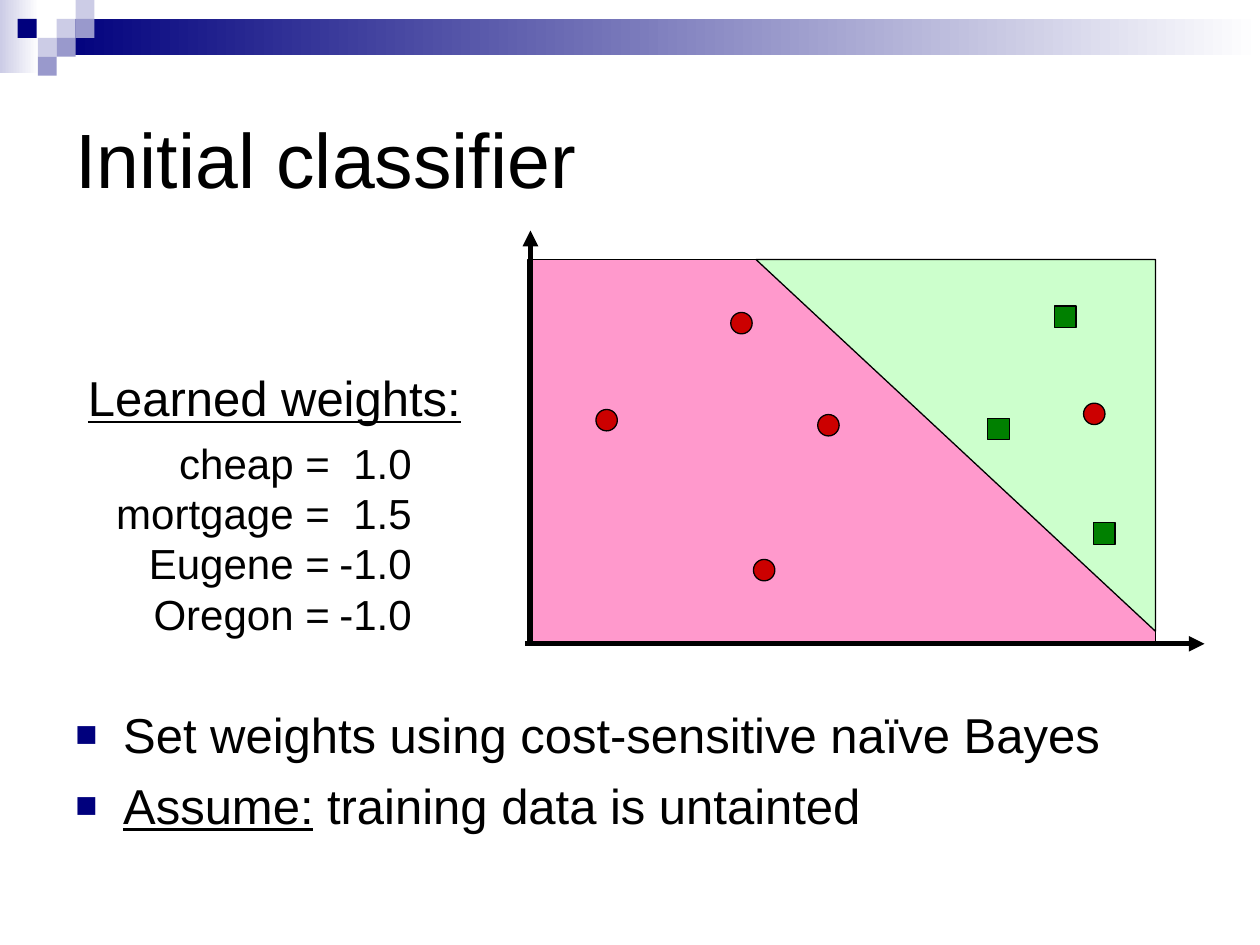
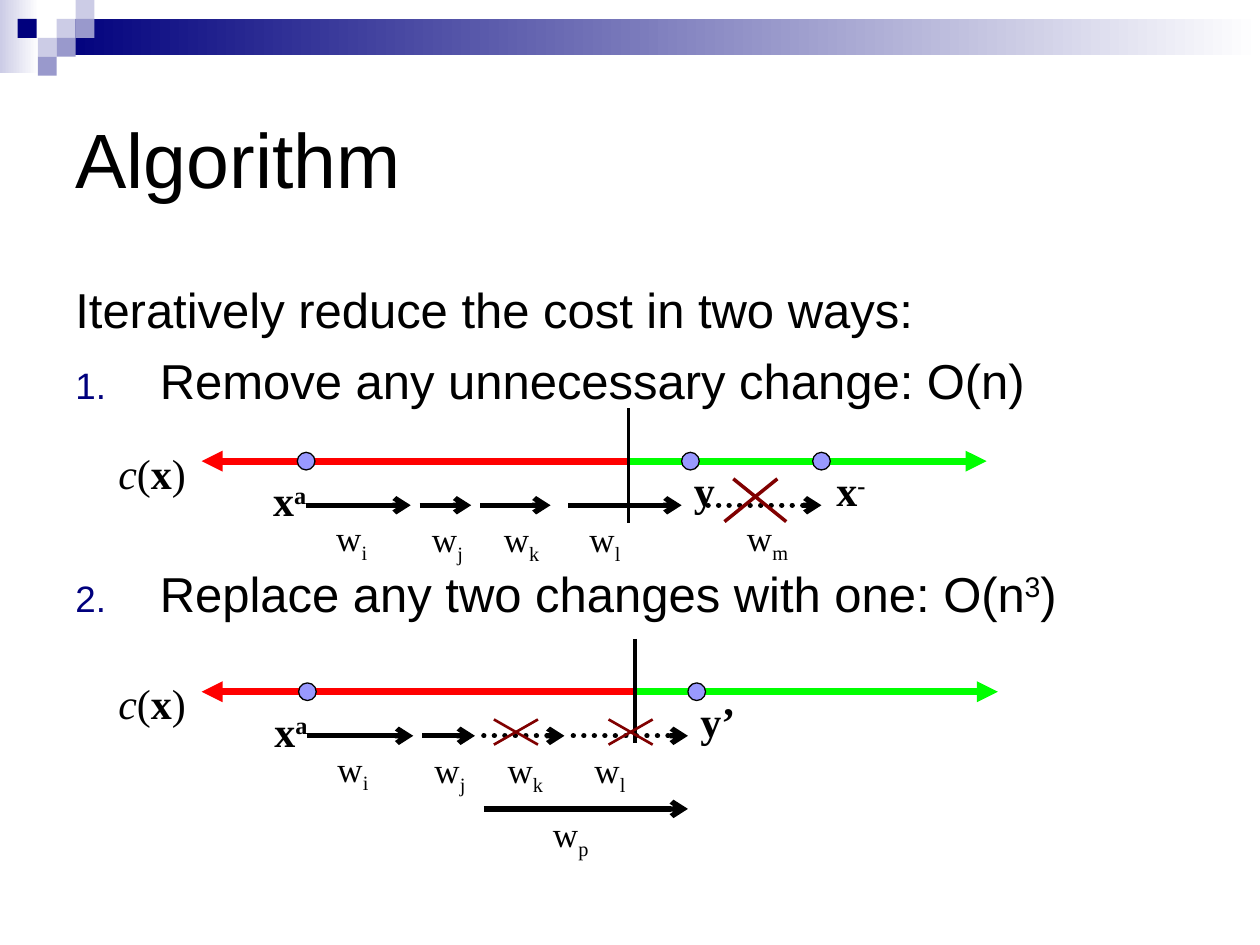
from lxml import etree
from pptx import Presentation
from pptx.dml.color import RGBColor
from pptx.enum.dml import MSO_LINE
from pptx.enum.shapes import MSO_CONNECTOR, MSO_SHAPE
from pptx.enum.text import MSO_ANCHOR, MSO_AUTO_SIZE, PP_ALIGN
from pptx.oxml.ns import qn
from pptx.util import Inches, Pt

RECT, OVAL = MSO_SHAPE.RECTANGLE, MSO_SHAPE.OVAL
TRIANGLE = MSO_SHAPE.RIGHT_TRIANGLE
STRAIGHT = MSO_CONNECTOR.STRAIGHT
DOTTED = MSO_LINE.ROUND_DOT
LEFT, MIDDLE = PP_ALIGN.LEFT, MSO_ANCHOR.MIDDLE
GROW, FIXED = MSO_AUTO_SIZE.SHAPE_TO_FIT_TEXT, MSO_AUTO_SIZE.NONE

BLACK = RGBColor(0x00, 0x00, 0x00)
WHITE = RGBColor(0xFF, 0xFF, 0xFF)
NAVY = RGBColor(0x00, 0x00, 0x7D)
LAVENDER = RGBColor(0xCC, 0xCC, 0xE6)
PERIWINKLE = RGBColor(0x99, 0x99, 0xCC)
POINT_BLUE = RGBColor(0x99, 0x99, 0xFF)
PINK = RGBColor(0xFF, 0x99, 0xCC)
MINT = RGBColor(0xCC, 0xFF, 0xCC)
DARK_RED = RGBColor(0xCC, 0x00, 0x00)
DARK_GREEN = RGBColor(0x00, 0x80, 0x00)
RED = RGBColor(0xFF, 0x00, 0x00)
GREEN = RGBColor(0x00, 0xFF, 0x00)
MAROON = RGBColor(0x80, 0x00, 0x00)

SANS, SERIF = "Arial", "Times New Roman"
BASELINES = {"^": "30000", "_": "-25000"}
SQUARE = ("a:buChar", {"char": "■"})
NUMBER = ("a:buAutoNum", {"type": "arabicPeriod"})


def add_xml(parent, tag, **attrs):
    return etree.SubElement(parent, qn(tag), attrs)


class Deck:
    def __init__(self):
        self.prs = Presentation()
        self.prs.slide_width, self.prs.slide_height = Inches(10), Inches(7.5)
        self.s = None

    def slide(self, title):
        self.s = self.prs.slides.add_slide(self.prs.slide_layouts[5])
        self.band()
        sp = self.s.shapes.title
        sp.left, sp.top, sp.width, sp.height = map(Inches, (0.5, 0.5, 9, 1.5))
        tf = sp.text_frame
        tf.text = title
        tf.auto_size, tf.vertical_anchor = FIXED, MIDDLE
        p = tf.paragraphs[0]
        p.alignment = LEFT
        self.style(p.runs[0], 44, SANS)

    def band(self):
        self.shape(RECT, 0, 0, 0.31, 0.58, (LAVENDER, WHITE), outline=False)
        self.shape(RECT, 0.45, 0.15, 9.55, 0.29, (NAVY, WHITE), outline=False)
        for x, y, color in ((0.45, 0.15, LAVENDER), (0.6, 0, LAVENDER),
                            (0.6, 0.15, PERIWINKLE), (0.3, 0.3, LAVENDER),
                            (0.14, 0.15, NAVY), (0.45, 0.3, PERIWINKLE),
                            (0.3, 0.45, PERIWINKLE)):
            self.shape(RECT, x, y, 0.15, 0.15, color, outline=False)

    def shape(self, kind, x, y, w, h, fill, outline=True):
        """A pair of colours as fill makes a left-to-right gradient."""
        sp = self.s.shapes.add_shape(kind, *map(Inches, (x, y, w, h)))
        sp.shadow.inherit = False
        if isinstance(fill, RGBColor):
            sp.fill.solid()
            sp.fill.fore_color.rgb = fill
        else:
            sp.fill.gradient()
            sp.fill.gradient_angle = 0
            for stop, color in zip(sp.fill.gradient_stops, fill):
                stop.color.rgb = color
        if outline:
            sp.line.color.rgb = BLACK
            sp.line.width = Pt(0.75)
        else:
            sp.line.fill.background()
        return sp

    def line(self, x1, y1, x2, y2, color=BLACK, width=3, end=None, dotted=False):
        sp = self.s.shapes.add_connector(STRAIGHT, *map(Inches, (x1, y1, x2, y2)))
        sp.line.color.rgb = color
        sp.line.width = Pt(width)
        ln = sp.line._get_or_add_ln()
        if dotted:
            sp.line.dash_style = DOTTED
            ln.set("cap", "rnd")
        if end:
            add_xml(ln, "a:tailEnd", type=end)
        add_xml(sp._element.spPr, "a:effectLst")

    def cross(self, x, y, w, h, width, shift=0):
        """Two strokes; shift moves the falling one sideways."""
        self.line(x, y + h, x + w, y, MAROON, width)
        self.line(x + shift, y, x + shift + w, y + h, MAROON, width)

    def style(self, r, size, font, marks=""):
        r.font.size, r.font.name = Pt(size), font
        r.font.color.rgb = BLACK
        if "b" in marks:
            r.font.bold = True
        if "i" in marks:
            r.font.italic = True
        if "u" in marks:
            r.font.underline = True
        for mark, value in BASELINES.items():
            if mark in marks:
                r._r.get_or_add_rPr().set("baseline", value)

    def text(self, x, y, w, h, paragraphs, size, font=SANS, wrap=False):
        """Each paragraph is a list of (text, marks) runs."""
        sp = self.s.shapes.add_textbox(*map(Inches, (x, y, w, h)))
        tf = sp.text_frame
        tf.word_wrap = wrap
        tf.auto_size = FIXED if wrap else GROW
        for i, runs in enumerate(paragraphs):
            p = tf.add_paragraph() if i else tf.paragraphs[0]
            if len(paragraphs) > 1:
                p.line_spacing = Pt(size * 1.2)
            for words, marks in runs:
                r = p.add_run()
                r.text = words
                self.style(r, size, font, marks)
        return tf.paragraphs

    def label(self, x, y, w, runs, size=24):
        self.text(x, y, w, 0.5 if size == 24 else 0.48, [runs], size, SERIF)

    def bullet(self, p, kind, indent):
        pPr = p._p.get_or_add_pPr()
        pPr.set("marL", str(Inches(indent)))
        pPr.set("indent", str(-Inches(indent)))
        add_xml(add_xml(pPr, "a:buClr"), "a:srgbClr", val=str(NAVY))
        add_xml(pPr, "a:buSzPct", val="75000")
        add_xml(pPr, "a:buFont", typeface=SANS)
        tag, attrs = kind
        add_xml(pPr, tag, **attrs)

    def right_tabs(self, p, *stops):
        tabs = add_xml(p._p.get_or_add_pPr(), "a:tabLst")
        for stop in stops:
            add_xml(tabs, "a:tab", pos=str(Inches(stop)), algn="r")


def cost_line(deck, y, stretch, tick_end, y_name, y_width, k_end, dotted):
    """Cost axis with its boundary, end points and weight arrows.

    Returns the function that places x on the stretched axis."""
    start = 1.6

    def at(x):
        return round(start + (x - start) * stretch, 2)

    deck.line(at(4.99), y, at(7.83), y, GREEN, 4, "triangle")
    deck.line(at(4.99), y, start, y, RED, 4, "triangle")
    deck.line(at(4.99), y - 0.42, at(4.99), y + tick_end, width=2)
    deck.label(0.84, y - 0.16, 0.85,
               [("c", "i"), ("(", ""), ("x", "b"), (")", "")])
    deck.label(at(2.07), y + 0.06, 0.5, [("x", "b"), ("a", "b^")])
    deck.label(at(5.41), y - 0.02, y_width, [(y_name, "b")])
    for x in (2.36, 5.41):
        point(deck, at(x), y)
    for name, x1, x2, label_x in (("i", 2.43, 3.26, 2.57),
                                  ("j", 3.33, 3.74, 3.33),
                                  ("k", 3.81, k_end, 3.9),
                                  ("l", 4.51, 5.41, 4.58)):
        weight(deck, name, at(x1), at(x2), at(label_x), y + 0.35,
               name in dotted, 0.04 if name == "i" else 0.05)
    return at


def point(deck, x, y):
    deck.shape(OVAL, x, y - 0.07, 0.14, 0.14, POINT_BLUE)


def weight(deck, name, x1, x2, label_x, y, dotted=False, drop=0.04):
    deck.line(x1, y, x2, y, end="arrow", dotted=dotted)
    deck.label(label_x, y + drop, 0.6, [("w", ""), (name, "_")], 20)


def classifier_slide(deck):
    deck.slide("Initial classifier")

    # Decision regions and axes
    deck.shape(RECT, 4.19, 2.06, 4.98, 3.06, PINK)
    deck.shape(TRIANGLE, 6, 2.06, 3.17, 2.95, MINT).rotation = 180
    deck.line(4.21, 5.11, 4.21, 1.83, end="triangle")
    deck.line(4.17, 5.11, 9.56, 5.11, end="triangle")

    # Training examples
    for kind, color, places in (
            (OVAL, DARK_RED, ((4.73, 3.25), (5.8, 2.48), (6.49, 3.29),
                              (5.98, 4.44), (8.6, 3.2))),
            (RECT, DARK_GREEN, ((7.84, 3.32), (8.37, 2.43), (8.68, 4.15)))):
        for x, y in places:
            deck.shape(kind, x, y, 0.17, 0.17, color)

    # Learned weights
    deck.text(0.6, 2.87, 3.16, 0.57, [[("Learned weights:", "u")]], 28)
    weights = (("cheap", "1.0"), ("mortgage", "1.5"),
               ("Eugene", "-1.0"), ("Oregon", "-1.0"))
    rows = [[(f"\t{word} =\t{value}", "")] for word, value in weights]
    for p in deck.text(0.73, 3.42, 2.8, 1.7, rows, 24, wrap=True):
        deck.right_tabs(p, 1.79, 2.44)

    # Notes on the method
    ps = deck.text(0.5, 5.54, 9, 1.15, [
        [("Set weights using cost-sensitive naïve Bayes", "")],
        [("Assume:", "u"), (" training data is untainted", "")]], 28, wrap=True)
    ps[1].space_before = Pt(7)
    for p in ps:
        deck.bullet(p, SQUARE, 0.38)


def algorithm_slide(deck):
    deck.slide("Algorithm")

    # Steps, with room for a diagram between them
    ps = deck.text(0.5, 2.17, 9, 4.25, [
        [("Iteratively reduce the cost in two ways:", "")],
        [("Remove any unnecessary change: O(n)", "")],
        [("Replace any two changes with one: O(n", ""), ("3", "^"), (")", "")]],
        28, wrap=True)
    for p, gap in zip(ps[1:], (7, 88)):
        p.space_before = Pt(gap)
        deck.bullet(p, NUMBER, 0.67)

    # Removing a change
    y = 3.66
    cost_line(deck, y, 1, 0.49, "y", 0.4, k_end=4.37, dotted="")
    weight(deck, "m", 5.62, 6.52, 5.83, y + 0.35, dotted=True)
    deck.label(6.54, y - 0.02, 0.5, [("x", "b"), ("-", "b^")])
    point(deck, 6.45, y)
    deck.cross(5.75, 3.8, 0.42, 0.34, 2, shift=0.07)

    # Replacing two changes
    y = 5.49
    at = cost_line(deck, y, 1.014, 0.41, "y’", 0.55, k_end=4.44, dotted="kl")
    weight(deck, "p", at(3.81), at(5.41), 4.29, y + 0.93, drop=-0.02)
    deck.cross(3.92, 5.71, 0.35, 0.2, 1.5)
    deck.cross(4.83, 5.71, 0.35, 0.2, 1.5)


def main():
    deck = Deck()
    classifier_slide(deck)
    algorithm_slide(deck)
    deck.prs.save("out.pptx")


if __name__ == "__main__":
    main()
